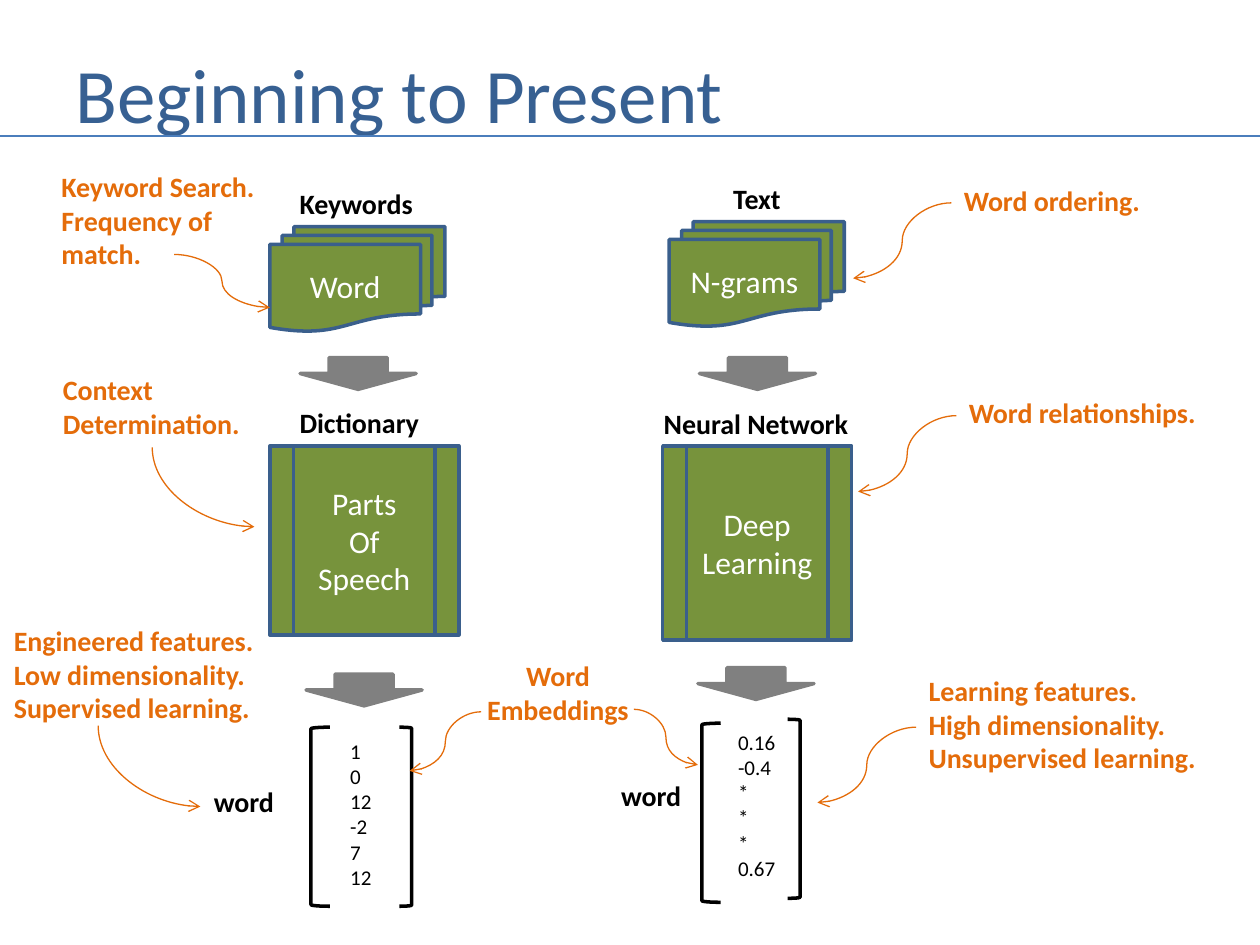
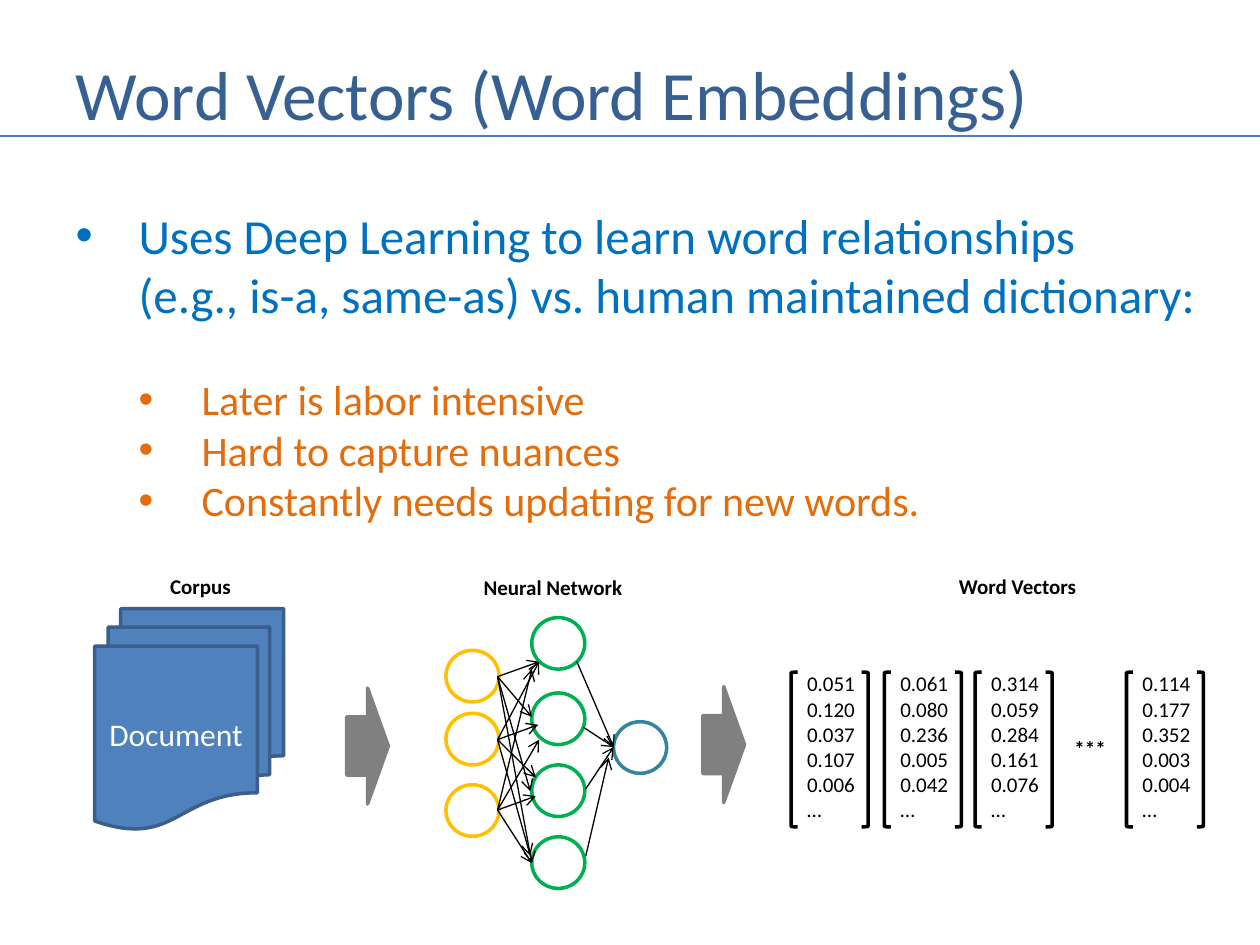
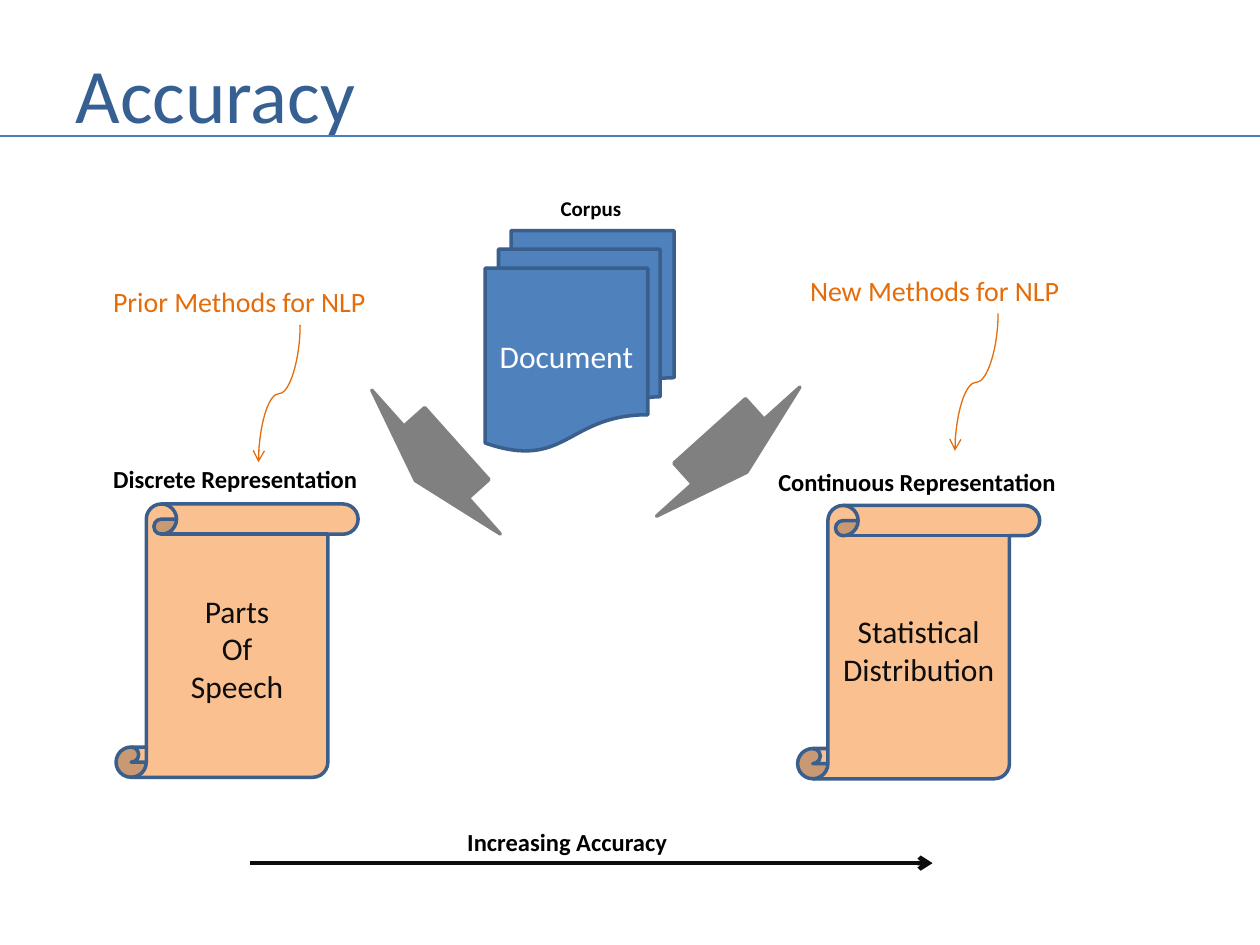
import copy

import pptx
import pptx.dml.color
import pptx.enum.shapes
import pptx.enum.text
import pptx.oxml.ns
import pptx.oxml.xmlchemy
import pptx.util
from lxml import etree

Cm = pptx.util.Cm
Pt = pptx.util.Pt
RGBColor = pptx.dml.color.RGBColor
qn = pptx.oxml.ns.qn
Shape = pptx.enum.shapes.MSO_SHAPE
Connector = pptx.enum.shapes.MSO_CONNECTOR
Align = pptx.enum.text.PP_ALIGN
Anchor = pptx.enum.text.MSO_ANCHOR
AutoSize = pptx.enum.text.MSO_AUTO_SIZE

FONT = "Calibri"
BLACK = RGBColor(0x00, 0x00, 0x00)
WHITE = RGBColor(0xFF, 0xFF, 0xFF)
INK = RGBColor(0x0D, 0x0D, 0x0D)
TITLE_BLUE = RGBColor(0x37, 0x60, 0x92)
RULE_BLUE = RGBColor(0x4B, 0x7E, 0xBC)
OUTLINE_BLUE = RGBColor(0x3A, 0x5F, 0x8C)
DOCUMENT_BLUE = RGBColor(0x4F, 0x81, 0xBD)
BULLET_BLUE = RGBColor(0x00, 0x70, 0xC0)
ORANGE = RGBColor(0xE4, 0x6C, 0x0A)
PEACH = RGBColor(0xFA, 0xC0, 0x90)
GREEN = RGBColor(0x77, 0x93, 0x3C)
GREY = RGBColor(0x80, 0x80, 0x80)
INPUT_YELLOW = RGBColor(0xFF, 0xC0, 0x00)
HIDDEN_GREEN = RGBColor(0x00, 0xB0, 0x50)
OUTPUT_TEAL = RGBColor(0x31, 0x85, 0x9C)


def write(text_frame, text, size=16, color=BLACK, bold=False, align=Align.LEFT):
    """Fill the frame, one paragraph per line; a vertical tab is a line break."""
    text_frame.text = text
    for paragraph in text_frame.paragraphs:
        format_paragraph(paragraph, size, color, bold, align)


def format_paragraph(paragraph, size, color, bold=False, align=Align.LEFT):
    paragraph.alignment = align
    for run in paragraph.runs:
        run.font.name = FONT
        run.font.size = Pt(size)
        run.font.bold = bold
        run.font.color.rgb = color
    for line_break in paragraph._p.findall(qn("a:br")):
        line_break.append(copy.deepcopy(paragraph.runs[0]._r.rPr))


class Deck:
    def __init__(self):
        self.presentation = pptx.Presentation()
        self.presentation.slide_width = Cm(25.4)
        self.presentation.slide_height = Cm(19.05)
        self.slide = None

    def new_slide(self, title, layout="Title Only", width=21.79, size=44):
        layouts = self.presentation.slide_layouts
        self.slide = self.presentation.slides.add_slide(layouts.get_by_name(layout))
        shape = self.slide.shapes.title
        self.place(shape, 1.27, 0.76, width, 2.21)
        shape.text_frame.auto_size = AutoSize.NONE
        shape.text_frame.vertical_anchor = Anchor.MIDDLE
        write(shape.text_frame, title, size=size, color=TITLE_BLUE)
        self.line((0, 2.74), (25.4, 2.74), RULE_BLUE, 1.5, arrow=False)

    def place(self, shape, left, top, width, height):
        shape.left, shape.top = Cm(left), Cm(top)
        shape.width, shape.height = Cm(width), Cm(height)

    def label(self, text, left, top, width, height=0.94, bold=True, **text_format):
        box = self.slide.shapes.add_textbox(Cm(left), Cm(top), Cm(width), Cm(height))
        box.text_frame.word_wrap = False
        box.text_frame.auto_size = AutoSize.SHAPE_TO_FIT_TEXT
        write(box.text_frame, text, bold=bold, **text_format)

    def shape(self, kind, left, top, width, height, fill=None, line=OUTLINE_BLUE,
              text="", color=WHITE, rotation=0):
        shape = self.slide.shapes.add_shape(kind, Cm(left), Cm(top), Cm(width), Cm(height))
        shape.shadow.inherit = False
        shape.rotation = rotation
        if fill is None:
            shape.fill.background()
        else:
            shape.fill.solid()
            shape.fill.fore_color.rgb = fill
        shape.line.color.rgb = line
        shape.line.width = Pt(2)
        if text:
            shape.text_frame.vertical_anchor = Anchor.MIDDLE
            write(shape.text_frame, text, size=18, color=color, align=Align.CENTER)

    def line(self, start, end, color=BLACK, width=0.75, kind=Connector.STRAIGHT, arrow=True):
        points = [Cm(value) for value in (*start, *end)]
        connector = self.slide.shapes.add_connector(kind, *points)
        connector.line.color.rgb = color
        connector.line.width = Pt(width)
        properties = connector._element.spPr
        if arrow:
            etree.SubElement(properties.find(qn("a:ln")), qn("a:tailEnd"), type="arrow")
        etree.SubElement(properties, qn("a:effectLst"))
        return connector

    def curve(self, start, end):
        """Curved arrow that leaves its start sideways."""
        return self.line(start, end, ORANGE, kind=Connector.CURVE)

    def falling_curve(self, start, end, preset="curvedConnector3"):
        """Curved arrow that leaves its start downwards: a sideways one, turned."""
        middle_x, middle_y = (start[0] + end[0]) / 2, (start[1] + end[1]) / 2
        to_right = end[0] > start[0]
        sign = 1 if to_right else -1
        across = sign * (end[1] - start[1]) / 2
        down = sign * (end[0] - start[0]) / 2
        connector = self.curve((middle_x + across, middle_y - down),
                               (middle_x - across, middle_y + down))
        properties = connector._element.spPr
        properties.find(qn("a:xfrm")).set("rot", str((270 if to_right else 90) * 60000))
        properties.find(qn("a:prstGeom")).set("prst", preset)

    def bullets(self, items, left, top, width, height):
        """Fill the body placeholder with (level, text, size, color, space before)."""
        body = self.slide.placeholders[1]
        self.place(body, left, top, width, height)
        text_frame = body.text_frame
        text_frame.auto_size = AutoSize.NONE
        text_frame.word_wrap = False
        text_frame.text = "\n".join(item[1] for item in items)
        for paragraph, (level, _, size, color, space) in zip(text_frame.paragraphs, items):
            paragraph.level = level
            paragraph.space_before = Pt(space)
            properties = paragraph._p.get_or_add_pPr()
            properties.set("marL", str(Cm(1.27 * (level + 1))))
            properties.set("indent", str(-Cm(1.27)))
            etree.SubElement(properties, qn("a:buFont"), typeface="Arial")
            etree.SubElement(properties, qn("a:buChar"), char="•")
            format_paragraph(paragraph, size, color)

    def brackets(self, left, right, top, height, left_width, right_width):
        self.shape(Shape.LEFT_BRACKET, left, top[0], left_width, height, line=BLACK)
        self.shape(Shape.RIGHT_BRACKET, right, top[1], right_width, height, line=BLACK)

    def neuron(self, left, top, color):
        self.shape(Shape.OVAL, left, top, 1.07, 1.04, line=color)

    def corpus(self, left, top):
        self.shape(Shape.FLOWCHART_MULTIDOCUMENT, left, top, 3.81, 4.45,
                   DOCUMENT_BLUE, text="Document")
        self.label("Corpus", left + 1.27, top - 0.84, 1.75, 0.76, size=12)


def build_history(deck):
    deck.new_slide("Beginning to Present", width=16.08)
    for text, left, top in (("Word", 5.44, 4.57), ("N-grams", 13.49, 4.47)):
        deck.shape(Shape.FLOWCHART_MULTIDOCUMENT, left, top, 3.53, 2.11, GREEN, text=text)
    for text, left, height in (("Parts\nOf\nSpeech", 5.44, 3.81),
                               ("Deep\nLearning", 13.36, 3.91)):
        deck.shape(Shape.FLOWCHART_PREDEFINED_PROCESS, left, 8.99, 3.81, height,
                   GREEN, text=text)
    for left, top in ((6.05, 7.21), (6.17, 13.59), (14.1, 7.21), (14.07, 13.46)):
        deck.shape(Shape.DOWN_ARROW, left, top, 2.34, 0.64, GREY, GREY)

    for text, left, top, width in (
        ("Keywords", 5.79, 3.63, 2.82),
        ("Dictionary", 5.79, 8.05, 2.97),
        ("word", 4.06, 15.7, 1.75),
        ("Text", 14.53, 3.53, 1.47),
        ("Neural Network", 13.13, 8.08, 4.27),
        ("word", 12.27, 15.57, 1.75),
    ):
        deck.label(text, left, top, width)

    for text, left, top, width, height in (
        ("Keyword Search.\nFrequency of\nmatch.", 0.99, 3.3, 4.47, 2.31),
        ("Context\nDetermination.", 1.02, 7.39, 4.11, 1.63),
        ("Engineered features.\nLow dimensionality.\nSupervised learning.",
         0.03, 12.45, 5.54, 2.31),
        ("Word ordering.", 19.18, 3.58, 4.11, 0.94),
        ("Word relationships.", 19.28, 7.85, 5.16, 0.94),
        ("Learning features.\nHigh dimensionality.\nUnsupervised learning.",
         18.47, 13.46, 5.97, 2.31),
    ):
        deck.label(text, left, top, width, height, color=ORANGE)
    deck.label("Word\nEmbeddings", 9.55, 13.16, 3.4, 1.63, color=ORANGE, align=Align.CENTER)

    deck.brackets(6.27, 8.05, (14.66, 14.66), 3.61, 0.38, 0.25)
    deck.label("1\n0\n12\n-2\n7\n12", 6.81, 14.76, 0.94, 3.33, size=12, bold=False)
    deck.brackets(14.15, 15.88, (14.58, 14.5), 3.61, 0.38, 0.25)
    deck.label("0.16\n-0.4\n*\n*\n*\n0.67", 14.63, 14.58, 1.27, 3.33, size=12, bold=False)

    for start, end in (
        ((3.51, 5.13), (5.44, 6.2)),
        ((19.18, 4.09), (17.2, 5.61)),
        ((19.28, 8.38), (17.3, 9.91)),
        ((18.47, 14.66), (16.48, 16.18)),
        ((9.7, 14.35), (8.26, 15.54)),
        ((12.78, 14.3), (14.07, 15.42)),
    ):
        deck.curve(start, end)
    deck.falling_curve((3.07, 9.02), (5.13, 10.62), "curvedConnector2")
    deck.falling_curve((1.98, 14.63), (4.04, 16.26), "curvedConnector2")


def build_network(deck):
    for top in (13.11, 14.38, 15.82):
        deck.neuron(8.99, top, INPUT_YELLOW)
    for top in (12.45, 13.97, 15.42, 16.87):
        deck.neuron(10.72, top, HIDDEN_GREEN)
    deck.neuron(12.37, 14.55, OUTPUT_TEAL)

    hidden_ends = {
        13.64: ((10.87, 13.34), (10.72, 14.45), (10.69, 15.95), (10.72, 17.4)),
        14.91: ((10.87, 13.34), (10.85, 14.61), (10.8, 15.67), (10.69, 17.25)),
        16.33: ((10.72, 13.49), (10.87, 14.91), (10.8, 16.05), (10.72, 17.4)),
    }
    for input_y, ends in hidden_ends.items():
        for end in ends:
            deck.line((10.03, input_y), end)
    for start in ((11.63, 13.34), (11.76, 14.66), (11.81, 15.9)):
        deck.line(start, (12.37, 15.06))
    deck.line((11.81, 17.25), (12.27, 15.27))


def build_word_vectors(deck):
    deck.new_slide("Word Vectors (Word Embeddings)", "Title and Content", size=39.6)
    deck.bullets((
        (0, "Uses Deep Learning to learn word relationships\v"
            "(e.g., is-a, same-as) vs. human maintained dictionary:", 28, BULLET_BLUE, 0),
        (1, "Later is labor intensive", 24, ORANGE, 29),
        (1, "Hard to capture nuances", 24, ORANGE, 0),
        (1, "Constantly needs updating for new words.", 24, ORANGE, 0),
    ), 1.27, 4.01, 23.34, 6.76)

    deck.corpus(1.91, 12.27)
    build_network(deck)
    deck.label("Neural Network", 9.5, 11.46, 3.33, 0.76, size=12)
    deck.label("Word Vectors", 19.08, 11.43, 2.9, 0.76, size=12)
    deck.label("***", 21.41, 14.71, 1.14, 0.76, size=12)
    for left, top in ((6.99, 13.87), (14.17, 13.84)):
        deck.shape(Shape.RIGHT_ARROW, left, top, 0.84, 2.34, GREY, GREY)
    for left, values in (
        (15.95, "0.051\n0.120\n0.037\n0.107\n0.006\n…"),
        (17.83, "0.061\n0.080\n0.236\n0.005\n0.042\n…"),
        (19.66, "0.314\n0.059\n0.284\n0.161\n0.076\n…"),
        (22.71, "0.114\n0.177\n0.352\n0.003\n0.004\n…"),
    ):
        deck.brackets(left, left + 1.42, (13.55, 13.55), 3.12, 0.13, 0.13)
        deck.label(values, left + 0.07, 13.4, 1.5, 3.33, size=12, bold=False)


def build_accuracy(deck):
    deck.new_slide("Accuracy")
    deck.corpus(9.78, 4.65)
    for text, left, top in (("Parts\nOf\nSpeech", 2.34, 10.16),
                            ("Statistical\nDistribution", 16.08, 10.19)):
        deck.shape(Shape.VERTICAL_SCROLL, left, top, 4.88, 5.51, PEACH, text=text, color=INK)
    for left, top, rotation in ((14.12, 7.16, 48), (8.23, 7.37, 138.2)):
        deck.shape(Shape.RIGHT_ARROW, left, top, 1.12, 3.89, GREY, GREY, rotation=rotation)
    for text, left, top, width in (
        ("Discrete Representation", 2.03, 9.22, 5.49),
        ("Continuous Representation", 15.44, 9.3, 6.15),
        ("Increasing Accuracy", 9.17, 16.54, 4.57),
    ):
        deck.label(text, left, top, width, 0.86, size=14)
    deck.label("New Methods for NLP", 16.08, 5.38, 5.61, bold=False, color=ORANGE)
    deck.label("Prior Methods for NLP", 2.03, 5.61, 5.66, bold=False, color=ORANGE)
    deck.falling_curve((20.12, 6.32), (19.25, 9.09))
    deck.falling_curve((6.05, 6.55), (5.21, 9.32))
    deck.line((5.03, 17.4), (18.8, 17.4), INK, 2.5)


def main():
    deck = Deck()
    build_history(deck)
    build_word_vectors(deck)
    build_accuracy(deck)
    deck.presentation.save("out.pptx")


if __name__ == "__main__":
    main()
